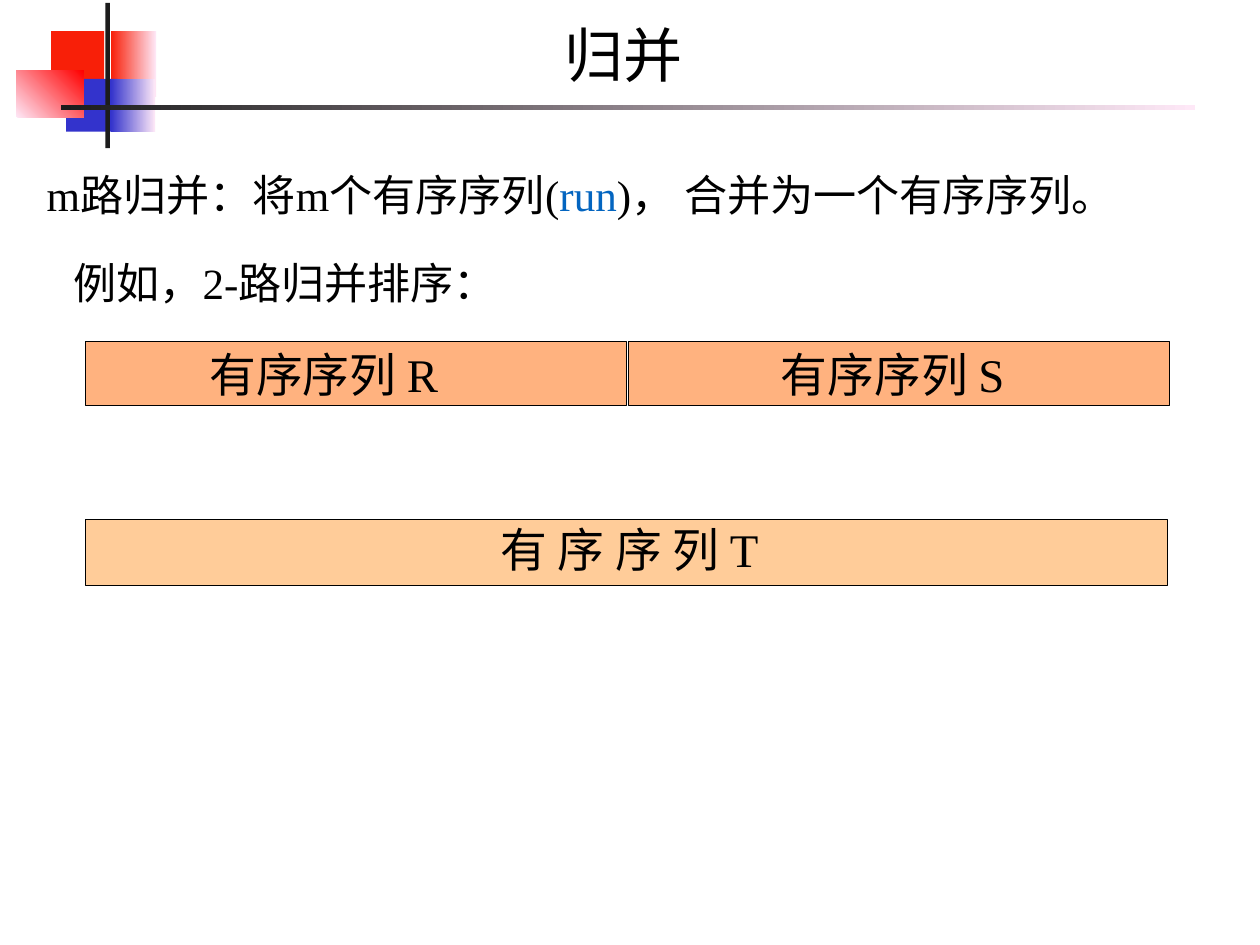
from lxml import etree
from pptx import Presentation
from pptx.dml import color
from pptx.enum import shapes, text
from pptx.oxml import ns
from pptx.util import Cm, Pt

COLORS = {
    "black": "000000", "ink": "1C1C1C", "red": "F81F08", "pure red": "FF0000",
    "blue": "3333CC", "pink": "FEE8F7", "orange": "FF6600",
    "peach": "FFCC99", "link": "0365C0",
}
SERIF, SANS, HEADING = "Times New Roman", "Noto Sans CJK SC", "Montserrat"

# Places are left, top, width, height in centimetres
TITLE = ("归并", (5.92, 0.38, 23.75, 2.64))

# Place, start colour, end colour (None for a plain fill), angle
ORNAMENTS = [
    ((3.18, 0.89, 1.3, 1.88), "red", "pink", 0),
    ((1.47, 0.89, 1.52, 1.52), "red", None, 0),
    ((1.9, 2.26, 1.47, 1.52), "blue", None, 0),
    ((3.18, 2.26, 1.27, 1.52), "blue", "pink", 0),
    ((0.46, 2.01, 1.93, 1.35), "pink", "pure red", 45),
    ((3.02, 0.08, 0.13, 4.17), "ink", None, 0),
    ((1.75, 3.02, 32.51, 0.13), "ink", "pink", 0),
]

# Place, line spacing, runs with their colours
SENTENCES = [
    ((1.04, 4.32, 33.65, 2.01), 1.25,
     [("m路归并：将m个有序序列(", "black"), ("run", "link"),
      (")， 合并为一个有序序列。", "black")]),
    ((1.8, 6.6, 15.29, 2.01), 1.4, [("例如，2-路归并排序：", "black")]),
]

# Bar place, fill, opacity in percent, label place, label runs with their fonts
SEQUENCES = [
    ((2.44, 9.8, 15.52, 1.83), "orange", 50, (2.13, 9.65, 14.15, 2.16),
     [("有序序列 ", SANS), ("R", SERIF)]),
    ((18.01, 9.8, 15.52, 1.83), "orange", 50, (18.72, 9.7, 13.59, 2.03),
     [("有序序列 ", SANS), ("S", SERIF)]),
    ((2.44, 14.91, 31.04, 1.88), "peach", 100, (12.47, 14.76, 11, 1.93),
     [("有 序 序 列", SANS), (" T", SERIF)]),
]


def rgb(name):
    return color.RGBColor.from_string(COLORS[name])


def lengths(place):
    return [Cm(value) for value in place]


def add_bar(page, place):
    bar = page.shapes.add_shape(shapes.MSO_SHAPE.RECTANGLE, *lengths(place))
    bar.shadow.inherit = False
    return bar


def fill_plain(bar, name, opacity=100):
    bar.fill.solid()
    bar.fill.fore_color.rgb = rgb(name)
    if opacity < 100:
        tint = bar.fill._xPr.find(".//" + ns.qn("a:srgbClr"))
        etree.SubElement(tint, ns.qn("a:alpha"), val=str(opacity * 1000))


def fill_fade(bar, start, end, angle):
    bar.fill.gradient()
    bar.fill.gradient_angle = angle
    for stop, name in zip(bar.fill.gradient_stops, (start, end)):
        stop.color.rgb = rgb(name)


def set_up(box, size, anchor, align):
    """Format a box's frame and return its first paragraph."""
    frame = box.text_frame
    frame.word_wrap = True
    frame.auto_size = text.MSO_AUTO_SIZE.NONE
    frame.vertical_anchor = anchor
    frame.margin_left = frame.margin_right = Cm(0.15)
    frame.margin_top = frame.margin_bottom = Cm(0.15)
    para = frame.paragraphs[0]
    para.alignment = align
    para._p.get_or_add_pPr().set("indent", str(Cm(0.15)))
    para.font.size = Pt(size)
    para.font.color.rgb = rgb("black")
    return para


def add_span(para, words):
    span = para.add_run()
    span.text = words
    return span.font


def main():
    deck = Presentation()
    deck.slide_width, deck.slide_height = Cm(36.12), Cm(27.1)
    page = deck.slides.add_slide(deck.slide_layouts[5])
    top, middle = text.MSO_ANCHOR.TOP, text.MSO_ANCHOR.MIDDLE
    left, center = text.PP_ALIGN.LEFT, text.PP_ALIGN.CENTER

    # Corner ornament and rule
    for place, start, end, angle in ORNAMENTS:
        bar = add_bar(page, place)
        bar.line.fill.background()
        if end:
            fill_fade(bar, start, end, angle)
        else:
            fill_plain(bar, start)

    # Title
    words, place = TITLE
    title = page.shapes.title
    title.left, title.top, title.width, title.height = lengths(place)
    para = set_up(title, 48, top, center)
    para.font.name = HEADING
    add_span(para, words)

    # Definition and example
    for place, spacing, runs in SENTENCES:
        box = page.shapes.add_textbox(*lengths(place))
        para = set_up(box, 35, top, left)
        para.line_spacing = spacing
        para.font.name = SERIF
        for words, name in runs:
            add_span(para, words).color.rgb = rgb(name)

    # Sequences R and S, merged into T
    for place, name, opacity, label_place, runs in SEQUENCES:
        bar = add_bar(page, place)
        fill_plain(bar, name, opacity)
        bar.line.color.rgb = rgb("black")
        bar.line.width = Pt(0.75)
        label = page.shapes.add_textbox(*lengths(label_place))
        para = set_up(label, 38, middle, center)
        for words, font in runs:
            add_span(para, words).name = font

    deck.save("out.pptx")


if __name__ == "__main__":
    main()
